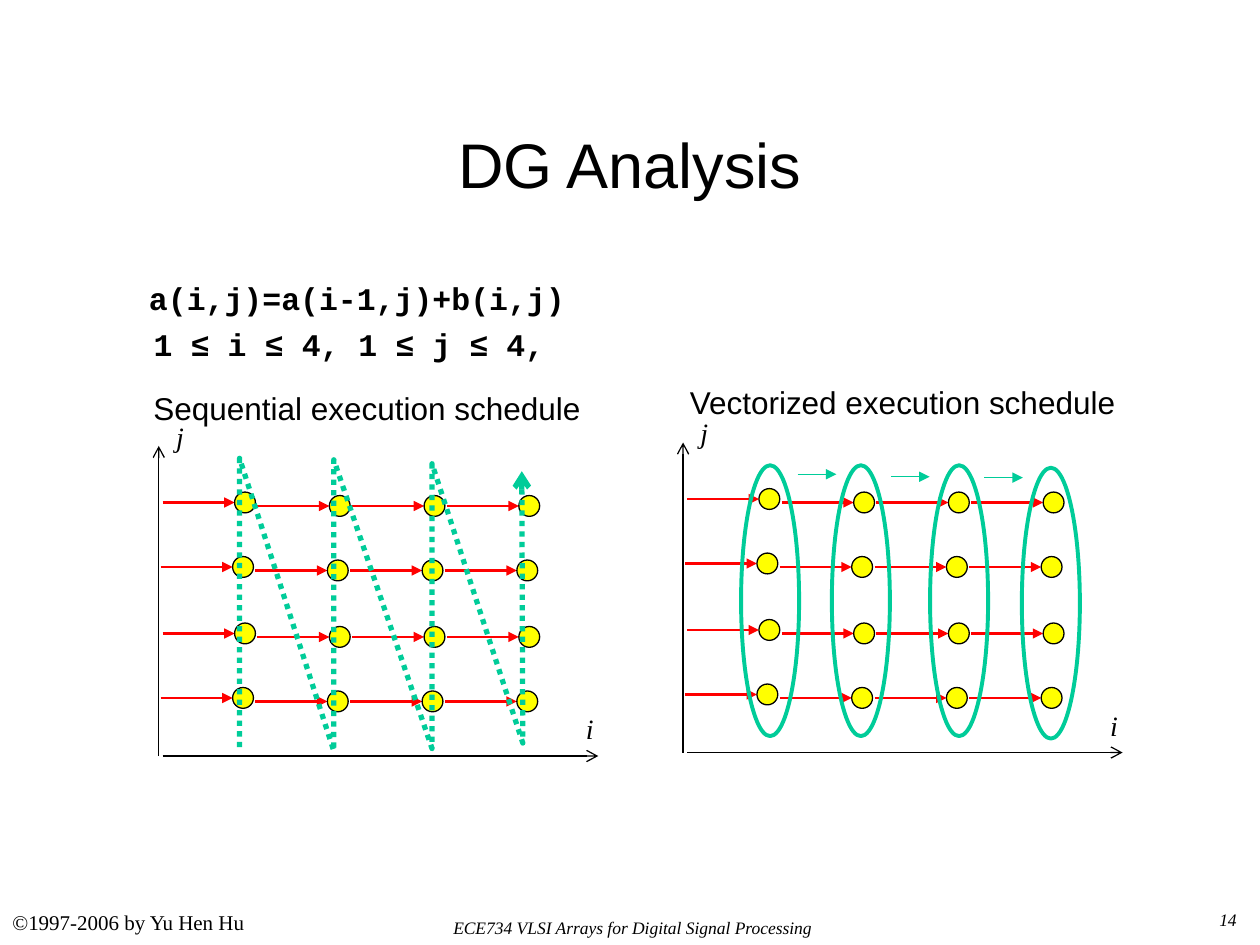
from pptx import Presentation
from pptx.dml.color import RGBColor
from pptx.enum.dml import MSO_LINE
from pptx.enum.shapes import MSO_CONNECTOR, MSO_SHAPE
from pptx.enum.text import MSO_ANCHOR, PP_ALIGN
from pptx.oxml.ns import qn
from pptx.util import Cm, Pt
from lxml.etree import SubElement

COLOURS = {"ink": "000000", "edge": "FF0000", "node": "FFFF00", "schedule": "00CC99"}
SERIF, SANS, MONO = "Times New Roman", "Arial", "Courier New"

ROW_HEIGHTS = [1.14, 2.44, 3.78, 5.08]
COLUMN_COUNT = 4
COLUMN_PITCH = 1.91
NODE_SIZE = 0.42
EDGE_LENGTH = 1.45
STEP_DOWN = 0.07  # drop of every column after the first


def colour(name):
    return RGBColor.from_string(COLOURS[name])


def style_line(line, name, width, head=None):
    line.color.rgb = colour(name)
    line.width = Pt(width)
    if head:
        SubElement(line._get_or_add_ln(), qn("a:tailEnd"), type=head)


def add_arrow(page, start, end, name, width, head="triangle"):
    arrow = page.shapes.add_connector(
        MSO_CONNECTOR.STRAIGHT, *(Cm(value) for value in (*start, *end)))
    style_line(arrow.line, name, width, head)
    SubElement(arrow._element.spPr, qn("a:effectLst"))


def add_oval(page, left, top, width, height, name, line_width, fill=None):
    oval = page.shapes.add_shape(
        MSO_SHAPE.OVAL, Cm(left), Cm(top), Cm(width), Cm(height))
    oval.shadow.inherit = False
    if fill:
        oval.fill.solid()
        oval.fill.fore_color.rgb = colour(fill)
    else:
        oval.fill.background()
    style_line(oval.line, name, line_width)


def style_para(para, font, size, italic=False, bold=False, align=PP_ALIGN.LEFT):
    para.alignment = align
    para.font.name = font
    para.font.size = Pt(size)
    para.font.italic = italic
    para.font.bold = bold
    para.font.color.rgb = colour("ink")


def add_text(page, box, text, font, size, wrap=True, **style):
    frame = page.shapes.add_textbox(*(Cm(value) for value in box)).text_frame
    frame.word_wrap = wrap
    frame.text = text
    style_para(frame.paragraphs[0], font, size, **style)
    return frame


def add_recurrence(page, box):
    frame = add_text(page, box, "a(i,j)=a(i-1,j)+b(i,j)", MONO, 18,
                     bold=True, align=PP_ALIGN.CENTER)
    limits = frame.add_paragraph()
    style_para(limits, MONO, 18, bold=True)
    limits._p.get_or_add_pPr().set("marL", str(Cm(0.95)))
    for part in ("1 ", "≤", " i ", "≤", " 4, 1 ", "≤", " j ", "≤", " 4,"):
        span = limits.add_run()
        span.text = part
        span.font.name = SANS if part == "≤" else MONO
    for para in frame.paragraphs:
        para.space_before = Pt(4.5)


def add_dependence_graph(page, left, top):
    """Draw the axes and the grid of nodes; left and top are the tip of the j axis."""
    bottom = top + 6.25
    add_arrow(page, (left + 0.08, bottom), (left + 8.86, bottom), "ink", 0.75, "arrow")
    add_arrow(page, (left, bottom), (left, top), "ink", 0.75, "arrow")
    for label, x, y in (("j", 0.1, -0.66), ("i", 8.36, 5.23)):
        add_text(page, (left + x, top + y, 0.66, 0.94), label, SERIF, 16,
                 wrap=False, italic=True)

    for row, height in enumerate(ROW_HEIGHTS):
        row_start = left + (0.04 if row % 2 else 0.08)
        for column in range(COLUMN_COUNT):
            start = row_start + column * COLUMN_PITCH
            end = start + EDGE_LENGTH
            y = top + height + (STEP_DOWN if column else 0)
            add_arrow(page, (start, y), (end, y), "edge", 1.5)
            add_oval(page, end, y - NODE_SIZE / 2, NODE_SIZE, NODE_SIZE,
                     "ink", 0.75, "node")


def add_sequential_schedule(page, left, top):
    add_dependence_graph(page, left, top)
    add_text(page, (left - 0.36, top - 1.27, 9.12, 1.02),
             "Sequential execution schedule", SANS, 18,
             wrap=False, align=PP_ALIGN.CENTER)
    turns = [(1.63, 6.07), (1.63, 0.25), (3.53, 6.15), (3.53, 0.28),
             (5.51, 6.1), (5.51, 0.36), (7.34, 5.99), (7.32, 0.51)]
    points = [(Cm(left + x), Cm(top + y)) for x, y in turns]
    builder = page.shapes.build_freeform(*points[0])
    builder.add_line_segments(points[1:], close=False)
    zigzag = builder.convert_to_shape()
    zigzag.shadow.inherit = False
    zigzag.fill.background()
    zigzag.line.dash_style = MSO_LINE.ROUND_DOT
    style_line(zigzag.line, "schedule", 3, "arrow")


def add_vectorized_schedule(page, left, top):
    add_dependence_graph(page, left, top)
    add_text(page, (left - 0.87, top - 1.32, 10.59, 1.02),
             "Vectorized execution schedule", SANS, 18,
             align=PP_ALIGN.CENTER).paragraphs[0].space_before = Pt(4.5)
    for x, y in ((1.17, 0.46), (3, 0.46), (4.98, 0.46), (6.83, 0.51)):
        add_oval(page, left + x, top + y, 1.17, 5.46, "schedule", 2.25)
    for x, y in ((2.31, 0.64), (4.19, 0.69), (6.07, 0.71)):
        add_arrow(page, (left + x, top + y), (left + x + 0.78, top + y),
                  "schedule", 0.75)


def add_footer(page, top):
    add_text(page, (0, top, 8.05, 0.84), "©1997-2006 by Yu Hen Hu", SERIF, 12)
    add_text(page, (8.6, top + 0.15, 8.01, 0.69),
             "ECE734 VLSI Arrays for Digital Signal Processing", SERIF, 10,
             italic=True, align=PP_ALIGN.RIGHT)
    add_text(page, (24.33, top, 1.07, 0.84), "14", SERIF, 10, italic=True)


def main():
    deck = Presentation()
    deck.slide_width, deck.slide_height = Cm(25.4), Cm(19.05)
    page = deck.slides.add_slide(deck.slide_layouts[6])
    title = add_text(page, (1.9, 1.7, 21.6, 3.18), "DG Analysis", SANS, 36,
                     align=PP_ALIGN.CENTER)
    title.vertical_anchor = MSO_ANCHOR.MIDDLE
    add_recurrence(page, (1.9, 5.51, 10.59, 2.1))
    add_sequential_schedule(page, 3.2, 8.99)
    add_vectorized_schedule(page, 13.77, 8.92)
    add_footer(page, 18.21)
    deck.save("out.pptx")


if __name__ == "__main__":
    main()
